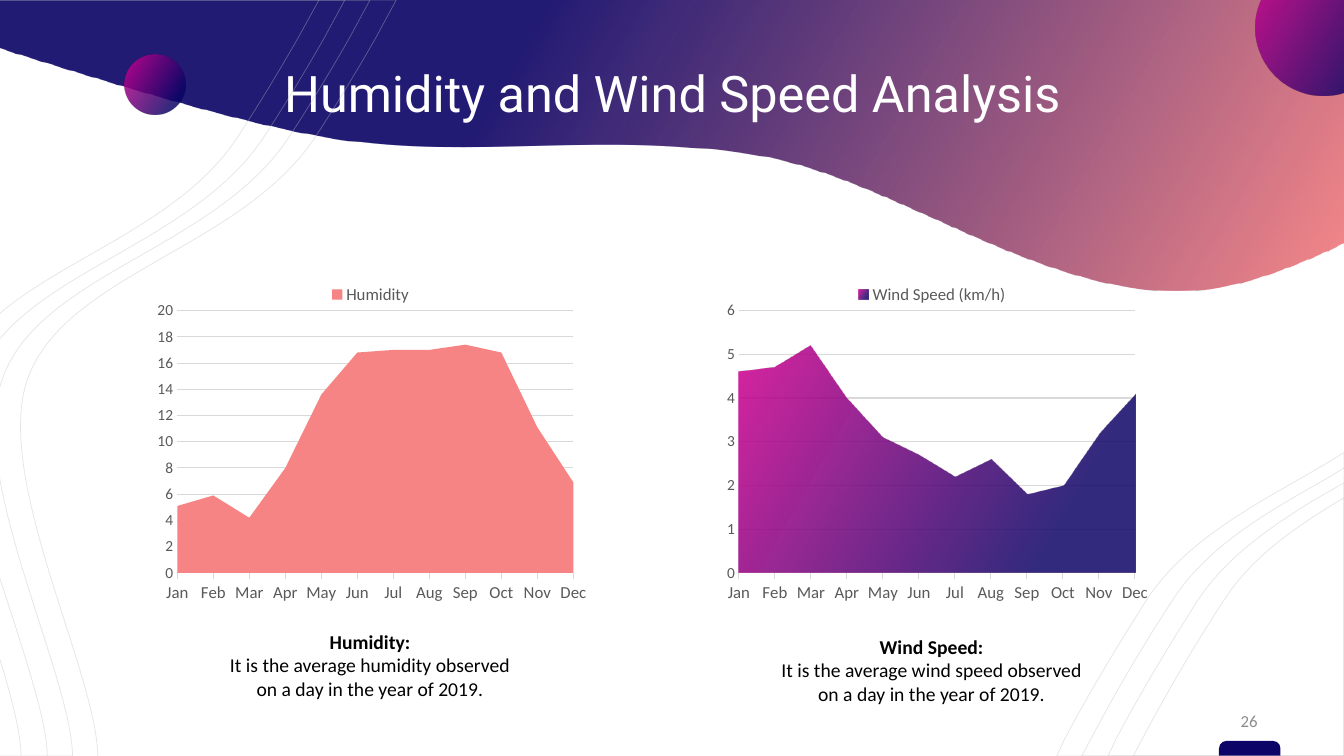
"""Builds the humidity and wind speed slide with two area charts."""
from lxml.etree import SubElement
from pptx import Presentation
from pptx.chart.data import CategoryChartData
from pptx.dml.color import RGBColor
from pptx.enum.chart import XL_CHART_TYPE, XL_LEGEND_POSITION as LEGEND, XL_TICK_MARK as TICK
from pptx.enum.shapes import MSO_SHAPE as SHAPE
from pptx.enum.text import MSO_ANCHOR, PP_ALIGN
from pptx.oxml.ns import qn
from pptx.util import Pt

PX = 9144
HEX = {"navy": "0C0466", "coral": "F78484", "pink": "D30392", "white": "FFFFFF",
       "black": "000000", "curve": "BFBFBF", "grid": "D9D9D9", "axis": "595959",
       "number": "8C8C8C"}
RGB = {name: RGBColor.from_string(value) for name, value in HEX.items()}
WAVE_STOPS = [(36, "navy", 90), (100, "coral", 95)]
BERRY_STOPS = [(0, "pink", 86), (81, "navy", 84)]
WAVE_HEIGHT = 288 * PX

WAVE = [[(0, 0), (1333, 0), (1333, 240), (1319, 247), (1281, 264, 1247, 277, 1217, 283),
         (1057, 317, 897, 178, 750, 154), (603, 130, 467, 158, 333, 138),
         (233, 122, 102, 80, 15, 53), (0, 48)]]
CURVES = [
    [[(1333, 479), (1333, 750), (1099, 750), (1107, 733), (1135, 680, 1165, 632, 1187, 597),
      (1215, 554, 1257, 525, 1300, 498)]],
    [[(1333, 494), (1333, 750), (1124, 750), (1133, 733), (1161, 680, 1190, 632, 1213, 597),
      (1240, 554, 1282, 525, 1326, 498)]],
    [[(1333, 449), (1333, 750), (1048, 750), (1056, 733), (1084, 680, 1114, 632, 1136, 597),
      (1177, 533, 1251, 498, 1315, 460)]],
    [[(1335, 463), (1335, 750), (1073, 750), (1082, 733), (1110, 680, 1139, 632, 1162, 597),
      (1198, 540, 1261, 506, 1319, 473)]],
    [[(-2, 568), (15, 620), (31, 671, 46, 718, 47, 749), (46, 752), (-2, 752)],
     [(-2, 0), (342, 0), (322, 37), (301, 74, 280, 108, 263, 134),
      (204, 226, 76, 259, 10, 325), (-2, 338)]],
    [[(-3, 644), (-3, 645), (10, 686, 20, 723, 21, 749), (21, 752), (-3, 752)],
     [(-3, -1), (317, -1), (296, 37), (275, 74, 254, 108, 237, 134),
      (183, 219, 69, 253, 1, 310), (-3, 314)]],
    [[(-2, 0), (393, 0), (373, 37), (352, 74, 331, 108, 314, 134), (241, 247, 64, 271, 27, 377),
      (-6, 474, 95, 665, 97, 749), (97, 752), (-2, 752)]],
    [[(-3, 449), (-2, 464), (13, 563, 70, 686, 72, 749), (72, 750), (-3, 750)],
     [(-3, 0), (367, 0), (347, 37), (326, 74, 305, 108, 288, 134),
      (216, 247, 38, 271, 2, 377), (0, 383, -2, 390, -3, 396), (-3, 399)]],
]
MONTHS = ["Jan", "Feb", "Mar", "Apr", "May", "Jun", "Jul", "Aug", "Sep", "Oct", "Nov", "Dec"]
EMPTY = [None] * len(MONTHS)
HUMIDITY = [5.1, 5.9, 4.2, 8, 13.6, 16.8, 17, 17, 17.4, 16.8, 11.1, 6.9]
WIND = [4.6, 4.7, 5.2, 4, 3.1, 2.7, 2.2, 2.6, 1.8, 2, 3.2, 4.1]
CHARTS = [
    (128, [("Humidity", HUMIDITY), ("Series 2", EMPTY)], 1, 20, 2),
    (685, [("Series 1", EMPTY), ("Wind Speed (km/h)", WIND)], 0, 6, 1),
]
TEXTS = [
    ((71, 49, 1192, 93), ["Humidity and Wind Speed Analysis"], 36, "Roboto", "white"),
    ((1216, 695, 46, 40), ["26"], 12, "Calibri", "number"),
    ((146, 624, 442, 71), ["Humidity:", "It is the average humidity observed",
                           "on a day in the year of 2019."], 14, "Calibri", "black"),
    ((703, 629, 442, 71), ["Wind Speed:", "It is the average wind speed observed",
                           "on a day in the year of 2019."], 14, "Calibri", "black"),
]


def add_outline(shapes, contours):
    """Draw closed contours whose six-number steps are cubic curves."""
    builder = shapes.build_freeform(*(v * PX for v in contours[0][0]), scale=1.0)
    for i, contour in enumerate(contours):
        if i:
            builder.move_to(*(v * PX for v in contour[0]))
        builder.add_line_segments([(step[-2] * PX, step[-1] * PX) for step in contour[1:]],
                                  close=True)
    sp = builder.convert_to_shape()
    sp.shadow.inherit = False
    steps = [step for contour in contours for step in contour[1:]]
    for segment, step in zip(list(sp.element.iter(qn("a:lnTo"))), steps):
        if len(step) == 6:
            parent = segment.getparent()
            cubic = SubElement(parent, qn("a:cubicBezTo"))
            for x, y in zip(step[::2], step[1::2]):
                SubElement(cubic, qn("a:pt"), x=str(x * PX - sp.left), y=str(y * PX - sp.top))
            parent.replace(segment, cubic)
    return sp


def fill_gradient(fill, element, stops):
    """Give a fill a slanted gradient with transparent stops."""
    fill.gradient()
    fill.gradient_angle = 330
    for stop, (position, name, _) in zip(fill.gradient_stops, stops):
        stop.position = position / 100
        stop.color.rgb = RGB[name]
    for gs, (_, _, alpha) in zip(element.iter(qn("a:gs")), stops):
        SubElement(gs[0], qn("a:alpha"), val=str(alpha * 1000))


prs = Presentation()
prs.slide_width, prs.slide_height = 1333 * PX, 750 * PX
s = prs.slides.add_slide(prs.slide_layouts[6])

tab = s.shapes.add_shape(SHAPE.ROUND_2_SAME_RECTANGLE, *(v * PX for v in (1209, 735, 61, 15)))
tab.adjustments[0], tab.adjustments[1] = 0.5, 0
tab.fill.solid()
tab.fill.fore_color.rgb = RGB["navy"]
tab.line.fill.background()
tab.shadow.inherit = False

wave = add_outline(s.shapes, WAVE)
wave.height = WAVE_HEIGHT
for outline in wave.element.iter(qn("a:path")):
    outline.set("h", str(WAVE_HEIGHT))
fill_gradient(wave.fill, wave.element, WAVE_STOPS)
wave.line.fill.background()

for left, top, size in [(1245, -40, 135), (124, 54, 60)]:
    ball = s.shapes.add_shape(SHAPE.OVAL, left * PX, top * PX, size * PX, size * PX)
    fill_gradient(ball.fill, ball.element, BERRY_STOPS)
    ball.line.fill.background()
    ball.shadow.inherit = False

for box, lines, size, font, color in TEXTS:
    tf = s.shapes.add_textbox(*(v * PX for v in box)).text_frame
    tf.word_wrap = True
    tf.vertical_anchor = MSO_ANCHOR.MIDDLE
    if len(lines) > 1:
        tf.margin_left = tf.margin_right = tf.margin_top = tf.margin_bottom = 0
    tf.text = "\n".join(lines)
    for i, p in enumerate(tf.paragraphs):
        p.alignment = PP_ALIGN.CENTER
        if font == "Roboto":
            p.line_spacing = 0.9
        f = p.runs[0].font
        f.size, f.name, f.color.rgb = Pt(size), font, RGB[color]
        f.bold = i == 0 and len(lines) > 1

for contours in CURVES:
    curve = add_outline(s.shapes, contours)
    curve.fill.background()
    curve.line.width = Pt(0.5)
    curve.line.color.rgb = RGB["curve"]
    for clr in curve.element.iter(qn("a:srgbClr")):
        SubElement(clr, qn("a:alpha"), val="40000")

for left, series, hidden, top_value, unit in CHARTS:
    data = CategoryChartData()
    data.categories = MONTHS
    for name, values in series:
        data.add_series(name, values)
    chart = s.shapes.add_chart(XL_CHART_TYPE.AREA, left * PX, 271 * PX, 479 * PX, 338 * PX,
                               data).chart
    chart.has_title = False
    chart.font.size, chart.font.name = Pt(10), "Calibri"
    chart.has_legend = True
    chart.legend.position = LEGEND.TOP
    chart.legend.include_in_layout = False
    cat, val = chart.category_axis, chart.value_axis
    for part, size in [(chart.legend.font, 12), (cat.tick_labels.font, 12),
                       (val.tick_labels.font, 11)]:
        part.size, part.name, part.color.rgb = Pt(size), "Calibri", RGB["axis"]
    cat.has_major_gridlines = False
    cat.major_tick_mark, val.major_tick_mark = TICK.OUTSIDE, TICK.NONE
    val.has_major_gridlines = True
    for line in (cat.format.line, val.major_gridlines.format.line):
        line.width, line.color.rgb = Pt(0.75), RGB["grid"]
    val.format.line.fill.background()
    val.minimum_scale, val.maximum_scale, val.major_unit = 0, top_value, unit

    plot = chart.plots[0]
    plot.vary_by_categories = False
    humidity, wind = (ser.format.fill for ser in plot.series)
    humidity.solid()
    humidity.fore_color.rgb = RGB["coral"]
    fill_gradient(wind, chart.element, BERRY_STOPS)

    position = next(chart.element.iter(qn("c:legendPos")))
    entry = SubElement(position.getparent(), qn("c:legendEntry"))
    SubElement(entry, qn("c:idx"), val=str(hidden))
    SubElement(entry, qn("c:delete"), val="1")
    position.addnext(entry)
    for cross in chart.element.iter(qn("c:crossBetween")):
        cross.set("val", "midCat")
    area = next(chart.element.iter(qn("c:plotArea")))
    for old in area.findall(qn("c:layout")):
        area.remove(old)
    layout = SubElement(area, qn("c:layout"))
    area.insert(0, layout)
    manual = SubElement(layout, qn("c:manualLayout"))
    for tag, value in [("layoutTarget", "inner"), ("xMode", "edge"), ("yMode", "edge"),
                       ("x", "0.1"), ("y", "0.11"), ("w", "0.82"), ("h", "0.77")]:
        SubElement(manual, qn("c:" + tag), val=value)

prs.save("out.pptx")
